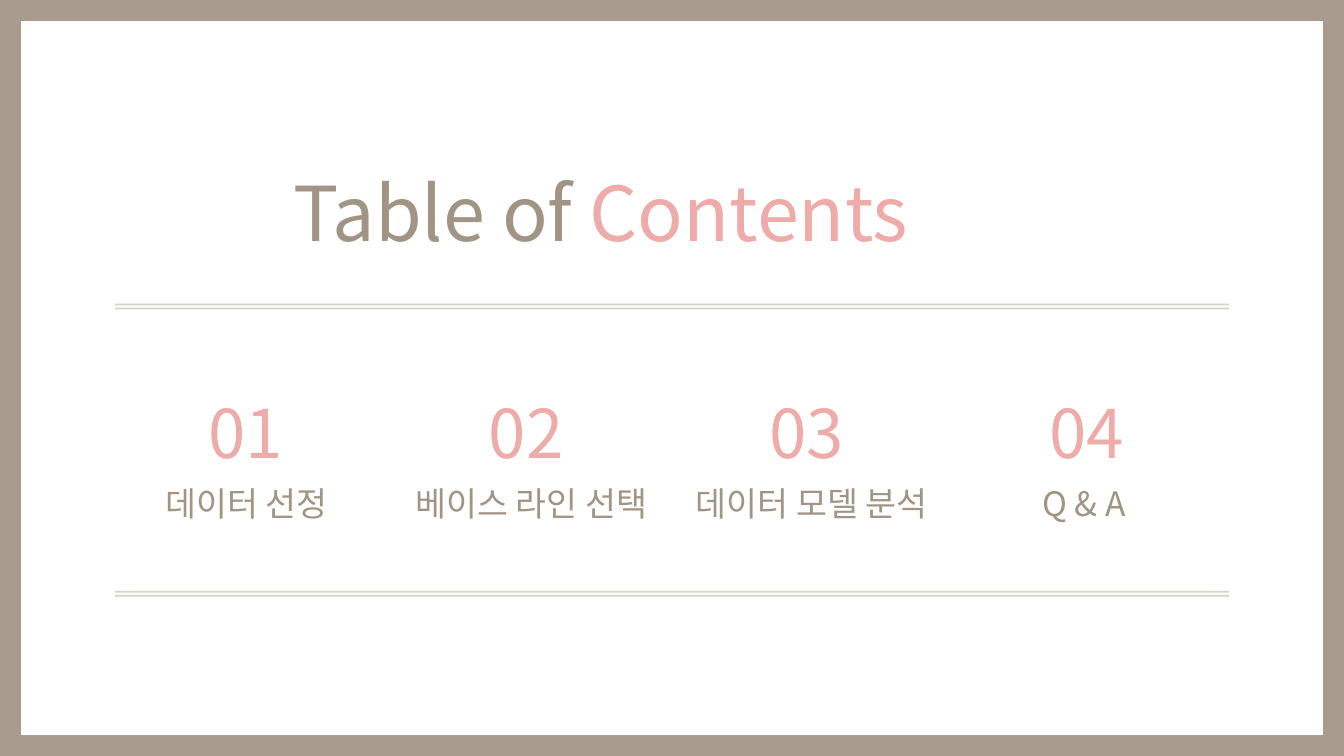
from dataclasses import dataclass

from lxml import etree
from pptx import Presentation
from pptx.dml.color import RGBColor
from pptx.enum.shapes import MSO_CONNECTOR, MSO_SHAPE
from pptx.enum.text import MSO_ANCHOR, MSO_AUTO_SIZE, PP_ALIGN
from pptx.oxml.ns import qn
from pptx.util import Inches, Pt

LEFT, CENTER = PP_ALIGN.LEFT, PP_ALIGN.CENTER
RECTANGLE = MSO_SHAPE.RECTANGLE
STRAIGHT = MSO_CONNECTOR.STRAIGHT
FONT = "Noto Sans CJK KR"
TAUPE, PINK, FRAME = "A09484", "EDABA9", "A79C8E"
TITLE_ONLY = 5

SLIDE_WIDTH, SLIDE_HEIGHT = 13.33, 7.5
FIRST_NUMBER_LEFT, COLUMN_PITCH = 1.97, 2.78
NUMBER_TOP, NUMBER_WIDTH, NUMBER_HEIGHT = 3.83, 1.04, 0.91
LABEL_TOP, LABEL_HEIGHT = 4.74, 0.5
RULE_LEFT, RULE_RIGHT = 1.14, 12.19
RULE_TOPS, RULE_GAP = (3.02, 5.87), 0.04
TEXT_FRAME_FORMAT = {
    "word_wrap": False,
    "auto_size": MSO_AUTO_SIZE.NONE,
    "vertical_anchor": MSO_ANCHOR.TOP,
}


@dataclass(frozen=True)
class Box:
    left: float
    top: float
    width: float
    height: float

    def lengths(self) -> list[int]:
        return [Inches(value) for value in (self.left, self.top, self.width, self.height)]


@dataclass(frozen=True)
class Entry:
    label: str
    label_left: float
    label_width: float
    alignment: PP_ALIGN


ENTRIES = (
    Entry("데이터 선정", 1.54, 1.84, LEFT),
    Entry("베이스 라인 선택", 3.99, 2.56, CENTER),
    Entry("데이터 모델 분석", 6.77, 2.56, CENTER),
    Entry("Q & A", 10.24, 1.23, LEFT),
)


def color(value: str) -> RGBColor:
    return RGBColor.from_string(value)


def write_text(shape, runs: list[tuple[str, str]], size: float, alignment: PP_ALIGN) -> None:
    """Fill the shape with one paragraph of (text, colour) runs."""
    for name, value in TEXT_FRAME_FORMAT.items():
        setattr(shape.text_frame, name, value)
    paragraph = shape.text_frame.paragraphs[0]
    paragraph.alignment = alignment
    for text, run_color in runs:
        run = paragraph.add_run()
        run.text = text
        for name, value in {"name": FONT, "size": Pt(size), "bold": False}.items():
            setattr(run.font, name, value)
        run.font.color.rgb = color(run_color)
        east_asian = etree.SubElement(run.font._element, qn("a:ea"))
        east_asian.set("typeface", FONT)


def add_title(slide) -> None:
    title = slide.shapes.title
    lengths = Box(2.81, 1.6, 6.81, 1.01).lengths()
    for name, value in zip(("left", "top", "width", "height"), lengths):
        setattr(title, name, value)
    write_text(title, [("Table of ", TAUPE), ("Contents", PINK)], 54, LEFT)


def add_frame(slide) -> None:
    frame = slide.shapes.add_shape(RECTANGLE, *Box(0, 0, SLIDE_WIDTH, SLIDE_HEIGHT).lengths())
    frame.shadow.inherit = False
    frame.fill.background()
    frame.line.color.rgb = color(FRAME)
    frame.line.width = Pt(30)


def add_text(slide, box: Box, text: str, size: float, text_color: str,
             alignment: PP_ALIGN) -> None:
    shape = slide.shapes.add_textbox(*box.lengths())
    write_text(shape, [(text, text_color)], size, alignment)


def add_entry(slide, column: int, entry: Entry) -> None:
    number_left = FIRST_NUMBER_LEFT + column * COLUMN_PITCH
    number_box = Box(number_left, NUMBER_TOP, NUMBER_WIDTH, NUMBER_HEIGHT)
    label_box = Box(entry.label_left, LABEL_TOP, entry.label_width, LABEL_HEIGHT)
    add_text(slide, number_box, f"{column + 1:02}", 48, PINK, LEFT)
    add_text(slide, label_box, entry.label, 24, TAUPE, entry.alignment)


def add_rule(slide, top: float) -> None:
    ends = [Inches(value) for value in (RULE_LEFT, top, RULE_RIGHT, top)]
    rule = slide.shapes.add_connector(STRAIGHT, *ends)
    rule.line.color.rgb = color(TAUPE)
    rule.line.width = Pt(1.25)
    properties = rule._element.spPr
    alpha = etree.SubElement(properties.find(".//" + qn("a:srgbClr")), qn("a:alpha"))
    alpha.set("val", "42000")
    etree.SubElement(properties, qn("a:effectLst"))


def main() -> None:
    presentation = Presentation()
    presentation.slide_width = Inches(SLIDE_WIDTH)
    presentation.slide_height = Inches(SLIDE_HEIGHT)
    slide = presentation.slides.add_slide(presentation.slide_layouts[TITLE_ONLY])
    add_title(slide)
    add_frame(slide)
    for column, entry in enumerate(ENTRIES):
        add_entry(slide, column, entry)
    for top in RULE_TOPS:
        add_rule(slide, top)
        add_rule(slide, top + RULE_GAP)
    presentation.save("out.pptx")


if __name__ == "__main__":
    main()
